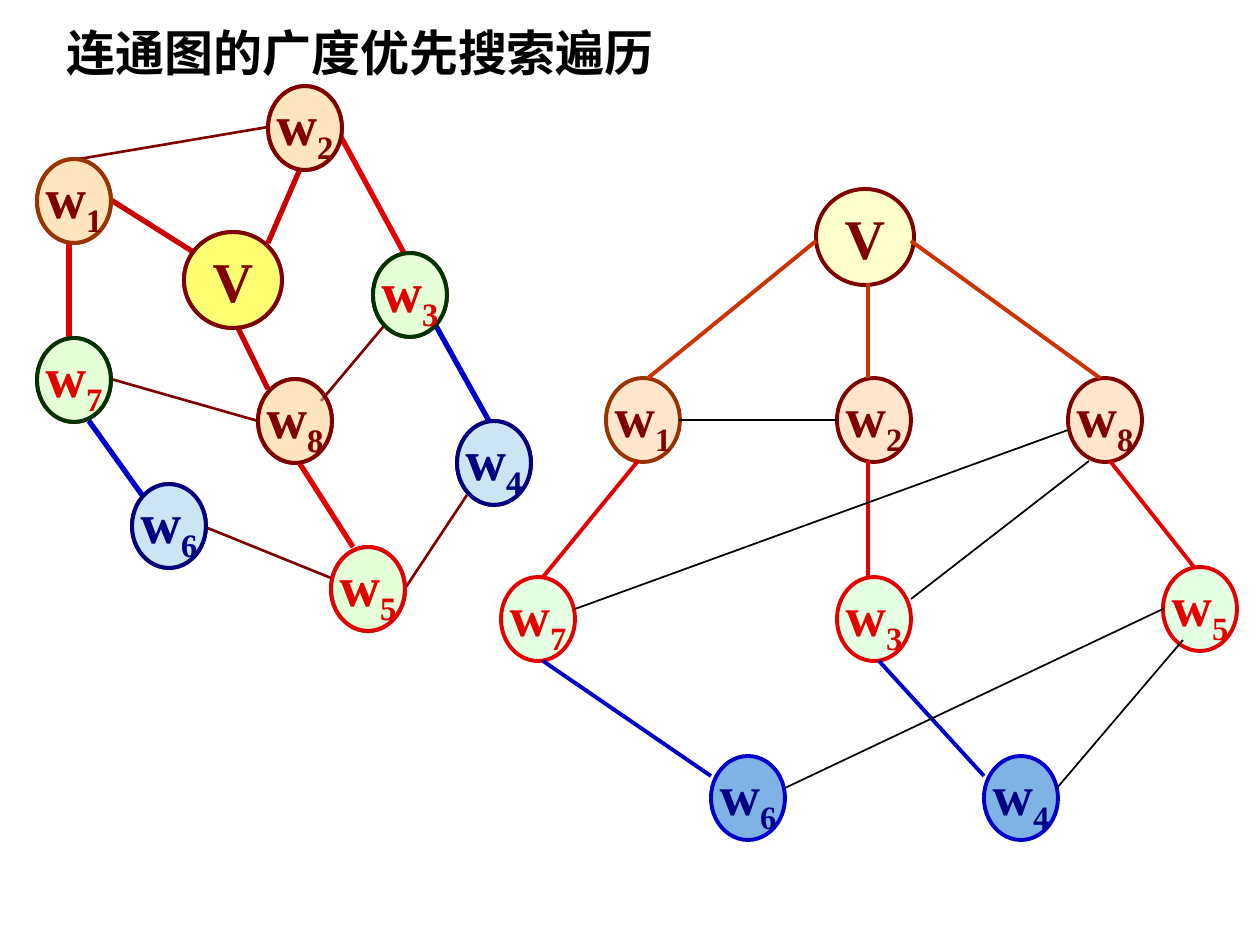
from lxml.etree import SubElement
from pptx import Presentation
from pptx.dml.color import RGBColor
from pptx.enum.shapes import MSO_CONNECTOR as Connector, MSO_SHAPE as Shape
from pptx.enum.text import MSO_ANCHOR as Anchor, PP_ALIGN as Align
from pptx.oxml.ns import qn
from pptx.util import Pt

PX = 914400 / 126


def rgb(value):
    return RGBColor.from_string(value)


def write_text(frame, text, subscript="", size=32, font="Times New Roman",
               color="000000", align=Align.CENTER, anchor=Anchor.MIDDLE, wrap=False):
    frame.word_wrap = wrap
    frame.vertical_anchor = anchor
    paragraph = frame.paragraphs[0]
    paragraph.alignment = align
    for part in filter(None, (text, subscript)):
        run = paragraph.add_run()
        run.text = part
        run.font.size = Pt(size)
        run.font.name = font
        run.font.bold = True
        run.font.color.rgb = rgb(color)
        if part == subscript:
            run.font._element.set("baseline", "-25000")


deck = Presentation()
deck.slide_width = round(1260 * PX)
deck.slide_height = round(945 * PX)
slide = deck.slides.add_slide(deck.slide_layouts[5])

heading = slide.shapes.title
heading.left, heading.top, heading.width, heading.height = (
    round(v * PX) for v in (54, 16, 655, 72))
write_text(heading.text_frame, "连通图的广度优先搜索遍历", size=28, font="Arial",
           align=Align.LEFT, anchor=Anchor.TOP, wrap=True)

label_colors = {"V": "800000", "1": "800000", "2": "800000", "8": "800000",
                "7": "E40000", "3": "E40000", "5": "E40000",
                "6": "000082", "4": "000082"}

tree_nodes = [
    ("V", 816, 189, "FFFF99", "800000"),
    ("1", 606, 378, "FFCC99", "993300"),
    ("2", 837, 378, "FFCC99", "800000"),
    ("8", 1068, 378, "FFCC99", "800000"),
    ("7", 501, 577, "CCFFCC", "E40000"),
    ("3", 837, 577, "CCFFCC", "E40000"),
    ("5", 1163, 567, "CCFFCC", "E40000"),
    ("6", 711, 756, "0066CC", "0000CC"),
    ("4", 984, 756, "0066CC", "0000CC"),
]
tree_edges = [
    ("CC3300", 2.25, [(816, 241, 648, 378), (868, 283, 868, 378), (911, 241, 1100, 378)]),
    ("E40000", 2.25, [(638, 461, 543, 577), (868, 461, 868, 577), (1110, 461, 1194, 567)]),
    ("0000CC", 2.25, [(543, 661, 711, 776), (879, 661, 984, 776)]),
    ("000000", 1, [(575, 609, 1068, 430), (1089, 461, 911, 599), (679, 420, 837, 420),
                   (1183, 640, 1057, 788), (1163, 609, 785, 788)]),
]

graph_nodes = [
    ("V", 184, 232, "FFFF00", "800000"),
    ("8", 258, 379, "FFCC99", "800000"),
    ("7", 37, 338, "CCFFCC", "003300"),
    ("6", 132, 484, "99CCFF", "000080"),
    ("1", 37, 159, "FFCC99", "993300"),
    ("2", 268, 86, "FFCC99", "800000"),
    ("3", 373, 253, "CCFFCC", "003300"),
    ("4", 457, 421, "99CCFF", "000080"),
    ("5", 331, 547, "CCFFCC", "E40000"),
]
unvisited_nodes = [
    (key, x, y, "FFFFCC", "993300" if key in "V128" else "800000")
    for key, x, y, _, _ in graph_nodes
]
first_level = [(111, 200, 195, 253), (300, 169, 268, 243), (237, 326, 268, 389)]
second_level = [(69, 243, 69, 338), (341, 137, 404, 253), (300, 464, 353, 547)]
third_level = [(89, 421, 142, 495), (436, 326, 489, 421)]
cross_edges = [(205, 527, 331, 578), (384, 326, 321, 401), (79, 159, 268, 127),
               (467, 495, 404, 590), (111, 379, 258, 421)]
graph_edges = [
    ("800000", 1.5, first_level + second_level + third_level + cross_edges),
    ("CC0000", 3, first_level),
    ("E40000", 3, second_level),
    ("0000CC", 3, third_level),
]

layers = [(tree_nodes, tree_edges), (unvisited_nodes, graph_edges), (graph_nodes, [])]
for nodes, edge_groups in layers:
    for key, x, y, fill, outline in nodes:
        width, height = (98, 96) if key == "V" else (74, 84)
        node = slide.shapes.add_shape(
            Shape.OVAL, *(round(v * PX) for v in (x, y, width, height)))
        node.shadow.inherit = False
        node.fill.solid()
        node.fill.fore_color.rgb = rgb(fill)
        fill_color = node._element.spPr.find(qn("a:solidFill"))[0]
        SubElement(fill_color, qn("a:alpha"), val="50000")
        node.line.color.rgb = rgb(outline)
        node.line.width = Pt(2.25)
        text, subscript = ("V", "") if key == "V" else ("w", key)
        write_text(node.text_frame, text, subscript, color=label_colors[key])
    for color, weight, edges in edge_groups:
        for ends in edges:
            edge = slide.shapes.add_connector(
                Connector.STRAIGHT, *(round(v * PX) for v in ends))
            edge.line.color.rgb = rgb(color)
            edge.line.width = Pt(weight)
            SubElement(edge._element.spPr, qn("a:effectLst"))

deck.save("out.pptx")
